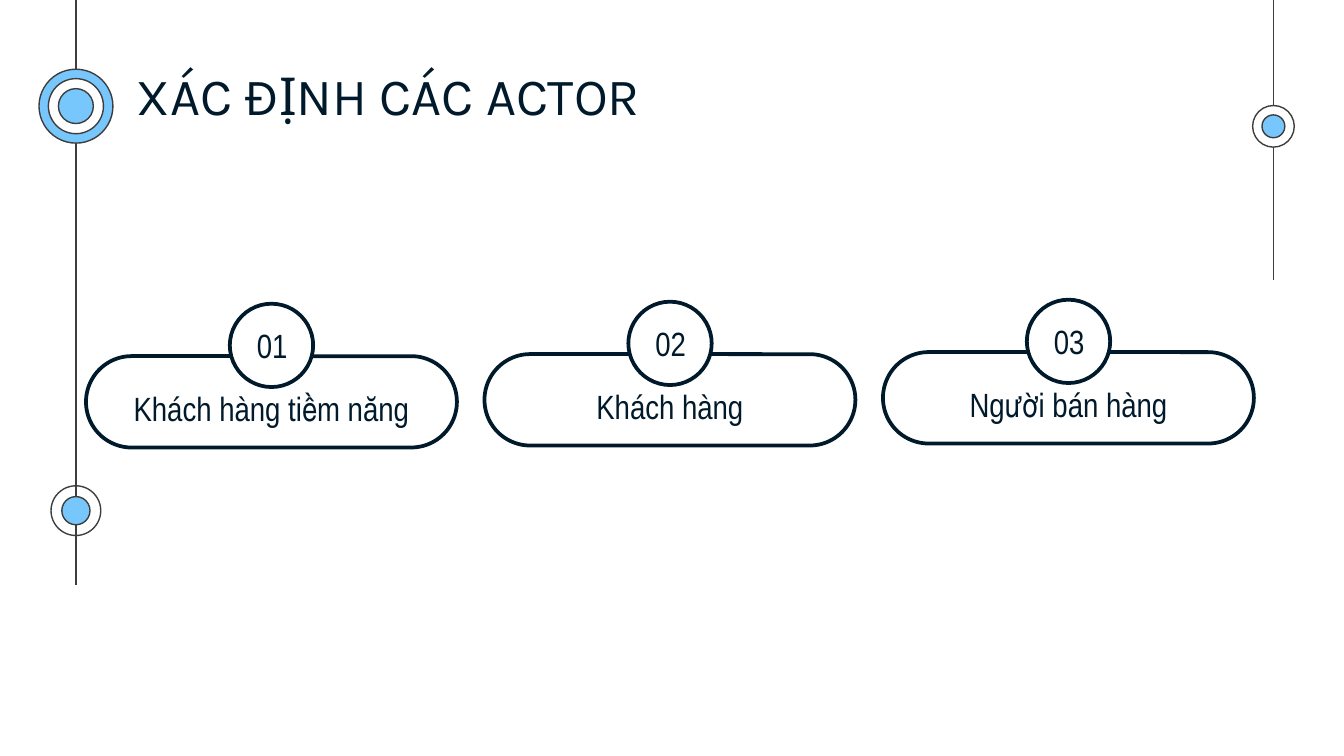
from lxml.etree import SubElement
from pptx import Presentation
from pptx.dml.color import RGBColor
from pptx.enum.shapes import MSO_CONNECTOR, MSO_SHAPE
from pptx.enum.text import MSO_ANCHOR, PP_ALIGN
from pptx.oxml.ns import qn
from pptx.util import Inches, Pt

WIDTH = 10
HEIGHT = WIDTH * 9 / 16
NAVY, GRAY, BLUE, WHITE = "011A2B", "3D3D3D", "77C6FC", "FFFFFF"
LEFT_RAIL, RIGHT_RAIL = 4.52 / 80 * WIDTH, 75.8 / 80 * WIDTH

# Actor columns: each is one step right of, and slightly above, the one before
FIRST_CENTER, LAST_CENTER = 2.02, 7.95
FIRST_TOP, LAST_TOP = 2.65, 2.62
PILL_WIDTH, PILL_HEIGHT, BADGE_SIZE = 2.76, 0.68, 0.62
ACTORS = [("Khách hàng tiềm năng", 2.36), ("Khách hàng", 1.34), ("Người bán hàng", 1.72)]
COLUMN_STEP = (LAST_CENTER - FIRST_CENTER) / (len(ACTORS) - 1)
ROW_STEP = (LAST_TOP - FIRST_TOP) / (len(ACTORS) - 1)


def color(hex_value):
    return RGBColor.from_string(hex_value)


def add_outlined(slide, kind, center, middle, width, height, fill, line, line_width):
    """Add a preset shape around a centre point; fill None leaves it hollow."""
    shape = slide.shapes.add_shape(
        kind, Inches(center - width / 2), Inches(middle - height / 2), Inches(width), Inches(height))
    shape.shadow.inherit = False
    if fill:
        shape.fill.solid()
        shape.fill.fore_color.rgb = color(fill)
    else:
        shape.fill.background()
    shape.line.color.rgb = color(line)
    shape.line.width = Pt(line_width)
    return shape


def add_rail(slide, x, bottom):
    rail = slide.shapes.add_connector(
        MSO_CONNECTOR.STRAIGHT, Inches(x), 0, Inches(x), Inches(bottom))
    rail.line.color.rgb = color(GRAY)
    rail.line.width = Pt(0.75)
    SubElement(rail._element.spPr, qn("a:effectLst"))


def add_target(slide, x, y, rings):
    """Draw concentric circles from (diameter, fill) pairs, largest first."""
    for diameter, fill in rings:
        add_outlined(slide, MSO_SHAPE.OVAL, x, y, diameter, diameter, fill, GRAY, 0.75)


def add_text(slide, text, left, top, width, height, font="Arial Narrow", size=18,
             align=PP_ALIGN.CENTER, wrap=False, inset=0.05):
    box = slide.shapes.add_textbox(Inches(left), Inches(top), Inches(width), Inches(height))
    frame = box.text_frame
    frame.word_wrap = wrap
    frame.vertical_anchor = MSO_ANCHOR.TOP
    frame.margin_top = frame.margin_bottom = Inches(inset)
    paragraph = frame.paragraphs[0]
    paragraph.alignment = align
    run = paragraph.add_run()
    run.text = text
    run.font.name = font
    run.font.size = Pt(size)
    run.font.color.rgb = color(NAVY)


def add_actor(slide, index, name, name_width):
    center = FIRST_CENTER + index * COLUMN_STEP
    top = FIRST_TOP + index * ROW_STEP
    pill = add_outlined(slide, MSO_SHAPE.ROUNDED_RECTANGLE, center, top + PILL_HEIGHT / 2,
                        PILL_WIDTH, PILL_HEIGHT, None, NAVY, 2)
    pill.adjustments[0] = 0.5
    add_text(slide, name, center - name_width / 2, top + 0.19, name_width, 0.4)
    add_outlined(slide, MSO_SHAPE.FLOWCHART_CONNECTOR, center, top - 0.08,
                 BADGE_SIZE, BADGE_SIZE, WHITE, NAVY, 2)
    add_text(slide, f"{index + 1:02}", center - 0.22, top - 0.28, 0.45, 0.4)


def main():
    presentation = Presentation()
    presentation.slide_width = Inches(WIDTH)
    presentation.slide_height = Inches(HEIGHT)
    slide = presentation.slides.add_slide(presentation.slide_layouts[6])

    add_rail(slide, LEFT_RAIL, 4.35)
    add_rail(slide, RIGHT_RAIL, 2.08)
    add_target(slide, LEFT_RAIL, 3.8, [(0.37, None), (0.21, BLUE)])
    add_target(slide, RIGHT_RAIL, 0.94, [(0.31, WHITE), (0.17, BLUE)])
    add_target(slide, LEFT_RAIL, 0.79, [(0.55, BLUE), (0.41, WHITE), (0.26, BLUE)])

    add_text(slide, "XÁC ĐỊNH CÁC ACTOR", 0.92, 0.37, 5.13, 0.65, font="Karla", size=28,
             align=PP_ALIGN.LEFT, wrap=True, inset=0.1)
    for index, (name, name_width) in enumerate(ACTORS):
        add_actor(slide, index, name, name_width)

    presentation.save("out.pptx")


if __name__ == "__main__":
    main()
